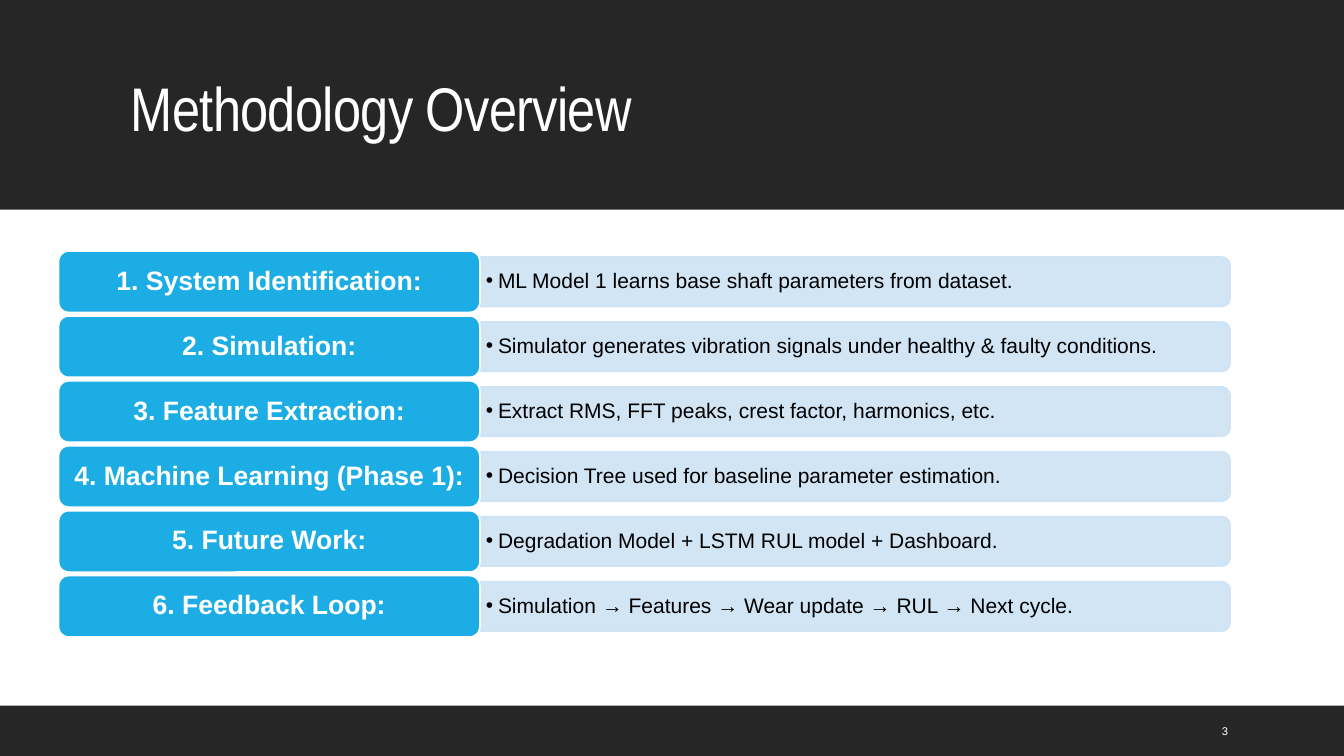
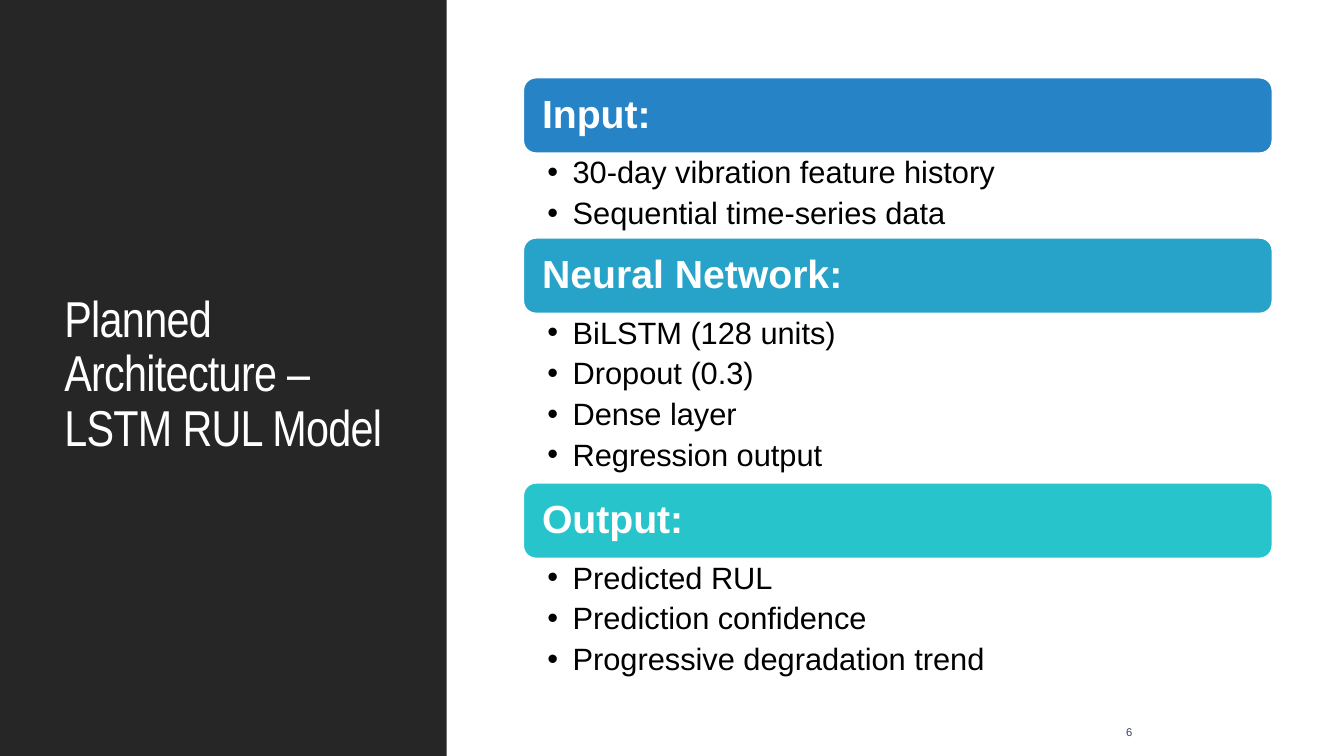
from lxml import etree
from pptx import Presentation
from pptx.dml.color import RGBColor
from pptx.enum import shapes, text
from pptx.oxml.ns import qn
from pptx.util import Inches, Pt

DARK = RGBColor(0x26, 0x26, 0x26)
WHITE = RGBColor(0xFF, 0xFF, 0xFF)
BLACK = RGBColor(0x00, 0x00, 0x00)
NAVY = RGBColor(0x34, 0x40, 0x68)
SKY = RGBColor(0x1C, 0xAD, 0xE4)
PALE = RGBColor(0xCD, 0xE3, 0xF5)
BLUE = RGBColor(0x26, 0x83, 0xC6)
TEAL = RGBColor(0x27, 0xA3, 0xC9)
TURQUOISE = RGBColor(0x28, 0xC4, 0xCC)

BODY_FONT = "Arial"
TITLE_FONT = "Arial Narrow"
SLIDE_W, SLIDE_H = 13.33, 7.5
LEFT, CENTER = text.PP_ALIGN.LEFT, text.PP_ALIGN.CENTER
TOP, MIDDLE = text.MSO_ANCHOR.TOP, text.MSO_ANCHOR.MIDDLE
SHAPE = shapes.MSO_SHAPE

STEPS = [
    ("1. System Identification:", "ML Model 1 learns base shaft parameters from dataset."),
    ("2. Simulation:", "Simulator generates vibration signals under healthy & faulty conditions."),
    ("3. Feature Extraction:", "Extract RMS, FFT peaks, crest factor, harmonics, etc."),
    ("4. Machine Learning (Phase 1):", "Decision Tree used for baseline parameter estimation."),
    ("5. Future Work:", "Degradation Model + LSTM RUL model + Dashboard."),
    ("6. Feedback Loop:", "Simulation → Features → Wear update → RUL → Next cycle."),
]
STEP_TOP, STEP_H = 2.49, 0.61
STEP_PITCH = (5.71 - STEP_TOP) / (len(STEPS) - 1)
LABEL_X, LABEL_W = 0.58, 4.18
PANEL_X, PANEL_W, PANEL_H = LABEL_X + LABEL_W, 7.44, 0.49
DETAIL_H = 0.44

SECTIONS = [
    ("Input:", BLUE, ["30-day vibration feature history", "Sequential time-series data"]),
    ("Neural Network:", TEAL,
     ["BiLSTM (128 units)", "Dropout (0.3)", "Dense layer", "Regression output"]),
    ("Output:", TURQUOISE,
     ["Predicted RUL", "Prediction confidence", "Progressive degradation trend"]),
]
SECTION_X, SECTION_W, SECTION_TOP = 5.19, 7.43, 0.77
HEADING_H, BULLET_H = 0.75, 0.42


def write(sp, lines, size, color, font=BODY_FONT, bold=False, align=LEFT,
          anchor=MIDDLE, insets=(0.1, 0.05, 0.1, 0.05), after=0,
          spacing=0.9, bullet_indent=0, tracking=0):
    """Fill a shape with one paragraph per line; insets run left, top, right, bottom."""
    tf = sp.text_frame
    tf.word_wrap = True
    tf.vertical_anchor = anchor
    tf.margin_left, tf.margin_top, tf.margin_right, tf.margin_bottom = map(Inches, insets)
    tf.text = "\n".join(lines)
    for p in tf.paragraphs:
        p.alignment = align
        p.line_spacing = spacing
        p.space_after = Pt(after)
        if bullet_indent:
            add_bullet(p, bullet_indent)
        for r in p.runs:
            r.font.name = font
            r.font.size = Pt(size)
            r.font.bold = bold
            r.font.color.rgb = color
            if tracking:
                r._r.get_or_add_rPr().set("spc", str(int(tracking * 100)))


def add_bullet(p, indent):
    pPr = p._p.get_or_add_pPr()
    pPr.set("marL", str(Inches(indent)))
    pPr.set("indent", str(-Inches(indent)))
    etree.SubElement(pPr, qn("a:buFont"), typeface=BODY_FONT)
    etree.SubElement(pPr, qn("a:buChar"), char="•")


def add_block(s, kind, x, y, w, h, fill, line=None):
    sp = s.shapes.add_shape(kind, Inches(x), Inches(y), Inches(w), Inches(h))
    sp.shadow.inherit = False
    sp.fill.solid()
    sp.fill.fore_color.rgb = fill
    if line is None:
        sp.line.fill.background()
    else:
        sp.line.color.rgb = line
        sp.line.width = Pt(1.25)
    return sp


def add_text(s, x, y, w, h, lines, size, color, **style):
    sp = s.shapes.add_textbox(Inches(x), Inches(y), Inches(w), Inches(h))
    write(sp, lines, size, color, **style)


def add_title(s, x, y, w, h, title, size):
    add_text(s, x, y, w, h, [title], size, WHITE, font=TITLE_FONT, tracking=-0.5)


def add_page_number(s, x, y, w, number, color):
    add_text(s, x, y, w, 0.4, [str(number)], 8, color, spacing=1.0)


def add_band(s, x, y, w, h):
    add_block(s, SHAPE.RECTANGLE, x, y, w, h, DARK)


def set_opacity(sp, percent):
    """Apply the opacity to both fill and outline."""
    for color in sp._element.spPr.iter(qn("a:srgbClr")):
        etree.SubElement(color, qn("a:alpha"), val=str(percent * 1000))


def add_step(s, top, label, detail):
    middle = top + STEP_H / 2
    # The panel stands upright and is turned so its rounded corners face right.
    panel = add_block(s, SHAPE.ROUND_2_SAME_RECTANGLE,
                      PANEL_X + (PANEL_W - PANEL_H) / 2, middle - PANEL_W / 2,
                      PANEL_H, PANEL_W, PALE, PALE)
    panel.rotation = 90
    set_opacity(panel, 90)
    add_text(s, PANEL_X, middle - DETAIL_H / 2, PANEL_W, DETAIL_H, [detail], 15, BLACK,
             insets=(0.06, 0.03, 0.06, 0.03), bullet_indent=0.12)
    tag = add_block(s, SHAPE.ROUNDED_RECTANGLE, LABEL_X, top, LABEL_W, STEP_H, SKY, WHITE)
    write(tag, [label], 19, WHITE, bold=True, align=CENTER, insets=(0.08, 0.04, 0.08, 0.04))


def add_section(s, top, heading, color, bullets):
    """Draw a heading bar with its bullets and return the bottom edge."""
    bar = add_block(s, SHAPE.ROUNDED_RECTANGLE, SECTION_X, top, SECTION_W, HEADING_H,
                    color, WHITE)
    write(bar, [heading], 28, WHITE, bold=True, insets=(0.15, 0.12, 0.15, 0.12))
    list_top, list_h = top + HEADING_H, BULLET_H * len(bullets)
    add_text(s, SECTION_X, list_top, SECTION_W, list_h, bullets, 22, BLACK, anchor=TOP,
             insets=(0.24, 0.04, 0.22, 0.04), after=5.3, bullet_indent=0.25)
    return list_top + list_h


def build_methodology(s):
    add_band(s, 0, 0, SLIDE_W, 2.08)
    add_title(s, 1.2, 0.31, 11, 1.59, "Methodology Overview", 44)
    add_band(s, 0, 7, SLIDE_W, 0.5)
    add_page_number(s, 12.02, 7.05, 0.85, 3, WHITE)
    for i, (label, detail) in enumerate(STEPS):
        add_step(s, STEP_TOP + i * STEP_PITCH, label, detail)


def build_architecture(s):
    add_band(s, 0, 0, 4.43, SLIDE_H)
    add_title(s, 0.54, 0.57, 3.37, 6.31, "Planned Architecture – LSTM RUL Model", 36)
    add_page_number(s, 11.07, 7.06, 1.19, 6, NAVY)
    top = SECTION_TOP
    for heading, color, bullets in SECTIONS:
        top = add_section(s, top, heading, color, bullets)


def main():
    prs = Presentation()
    prs.slide_width, prs.slide_height = Inches(SLIDE_W), Inches(SLIDE_H)
    for build in (build_methodology, build_architecture):
        build(prs.slides.add_slide(prs.slide_layouts[6]))
    prs.save("out.pptx")


if __name__ == "__main__":
    main()
